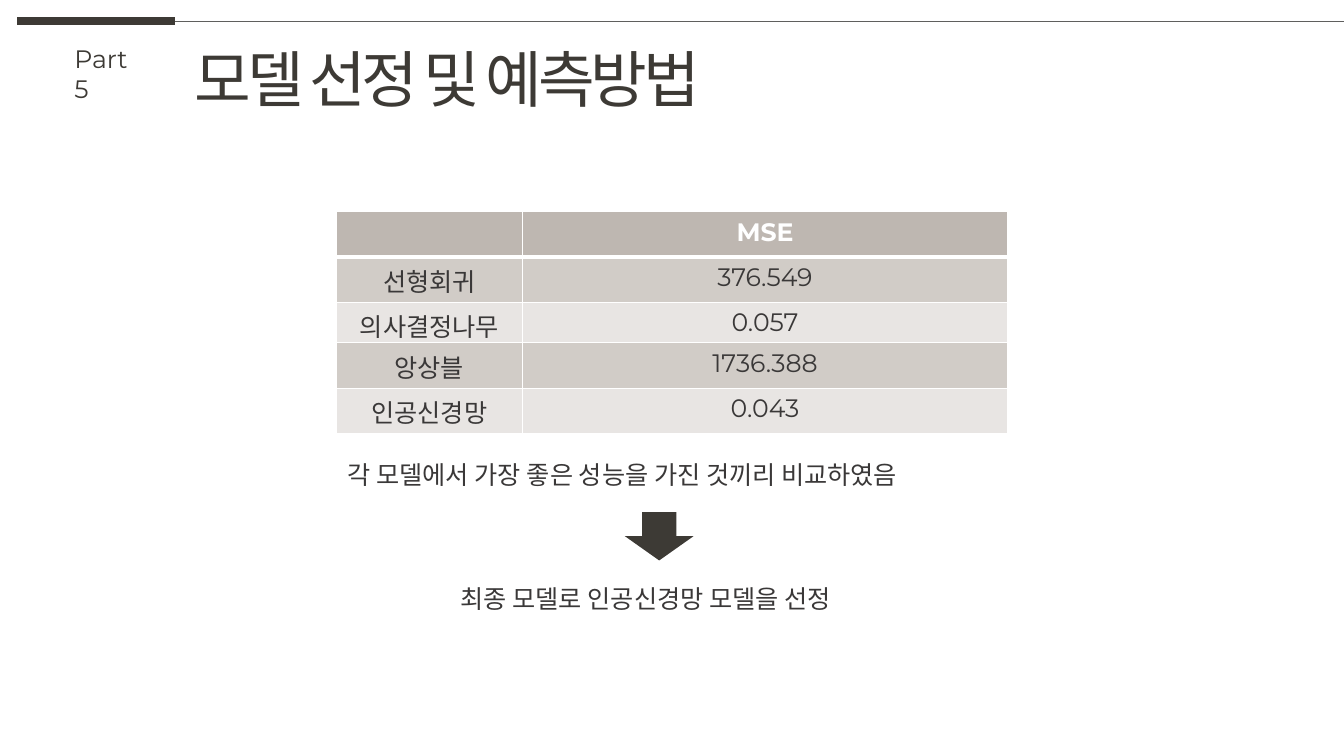
from lxml import etree
from pptx import Presentation
from pptx import util as u
from pptx.dml.color import RGBColor
from pptx.enum import shapes, text
from pptx.oxml import ns

DARK, GRAY, WHITE = "3D3A35", "3A3838", "FFFFFF"


def color(value):
    return RGBColor.from_string(value)


def write(frame, words, size, ink, bold=False, align=text.PP_ALIGN.LEFT):
    paragraph = frame.paragraphs[0]
    paragraph.alignment = align
    run = paragraph.add_run()
    run.text = words
    style = {"name": "Montserrat", "size": u.Pt(size), "bold": bold}
    for key, value in style.items():
        setattr(run.font, key, value)
    run.font.color.rgb = color(ink)
    return run


presentation = Presentation()
presentation.slide_width = u.Pt(960)
presentation.slide_height = u.Pt(540)
slide = presentation.slides.add_slide(presentation.slide_layouts[5])

rules = [(12.24, 125.28, DARK, 6), (125.28, 960, "5F5F5D", 0.5)]
for start, end, ink, width in rules:
    connector = slide.shapes.add_connector(
        shapes.MSO_CONNECTOR.STRAIGHT, u.Pt(start), u.Pt(15), u.Pt(end), u.Pt(15))
    connector.line.color.rgb = color(ink)
    connector.line.width = u.Pt(width)
    etree.SubElement(connector._element.spPr, ns.qn("a:effectLst"))

title = slide.shapes.title
title_format = {"left": 131.76, "top": 25.92, "width": 401.76, "height": 59.04}
for key, value in title_format.items():
    setattr(title, key, u.Pt(value))
frame_format = {
    "word_wrap": False,
    "auto_size": text.MSO_AUTO_SIZE.SHAPE_TO_FIT_TEXT,
    "vertical_anchor": text.MSO_ANCHOR.TOP,
}
for key, value in frame_format.items():
    setattr(title.text_frame, key, value)
title_run = write(title.text_frame, "모델 선정 및 예측방법", 44, DARK)
title_run.font._element.set("spc", "-300")

labels = [
    ("Part 5", 46.08, 27.36, 64.8, DARK),
    ("각 모델에서 가장 좋은 성능을 가진 것끼리 비교하였음", 241.2, 324.72, 502.56, GRAY),
    ("최종 모델로 인공신경망 모델을 선정", 321.84, 413.28, 359.28, GRAY),
]
for words, left, top, width, ink in labels:
    box = slide.shapes.add_textbox(u.Pt(left), u.Pt(top), u.Pt(width), u.Pt(28.8))
    box.text_frame.word_wrap = True
    box.text_frame.auto_size = text.MSO_AUTO_SIZE.SHAPE_TO_FIT_TEXT
    write(box.text_frame, words, 18, ink)

rows = [
    ("", "MSE"),
    ("선형회귀", "376.549"),
    ("의사결정나무", "0.057"),
    ("앙상블", "1736.388"),
    ("인공신경망", "0.043"),
]
heights = [32.4, 32.4, 28.8, 32.4, 32.4]
table = slide.shapes.add_table(
    len(rows), 2, u.Pt(240.48), u.Pt(151.2), u.Pt(479.52), u.Pt(sum(heights))).table
for column, width in zip(table.columns, (132.48, 347.04)):
    column.width = u.Pt(width)
for index, (values, height) in enumerate(zip(rows, heights)):
    table.rows[index].height = u.Pt(height)
    header = index == 0
    band = "BEB7B1" if header else ("E8E5E3", "D1CCC7")[index % 2]
    for position, words in enumerate(values):
        cell = table.cell(index, position)
        if words:
            write(cell.text_frame, words, 18, WHITE if header else GRAY,
                  header, text.PP_ALIGN.CENTER)
        properties = cell._tc.get_or_add_tcPr()
        for side in "LRTB":
            thick = (side == "B" and header) or (side == "T" and index == 1)
            border = etree.SubElement(
                properties, ns.qn(f"a:ln{side}"), w=str(u.Pt(3 if thick else 1)))
            fill = etree.SubElement(border, ns.qn("a:solidFill"))
            etree.SubElement(fill, ns.qn("a:srgbClr"), val=WHITE)
        cell.fill.solid()
        cell.fill.fore_color.rgb = color(band)

arrow = slide.shapes.add_shape(
    shapes.MSO_SHAPE.DOWN_ARROW, u.Pt(446.4), u.Pt(365.76), u.Pt(48.96), u.Pt(34.56))
arrow.shadow.inherit = False
arrow.fill.solid()
arrow.fill.fore_color.rgb = color(DARK)
arrow.line.fill.background()

presentation.save("out.pptx")
